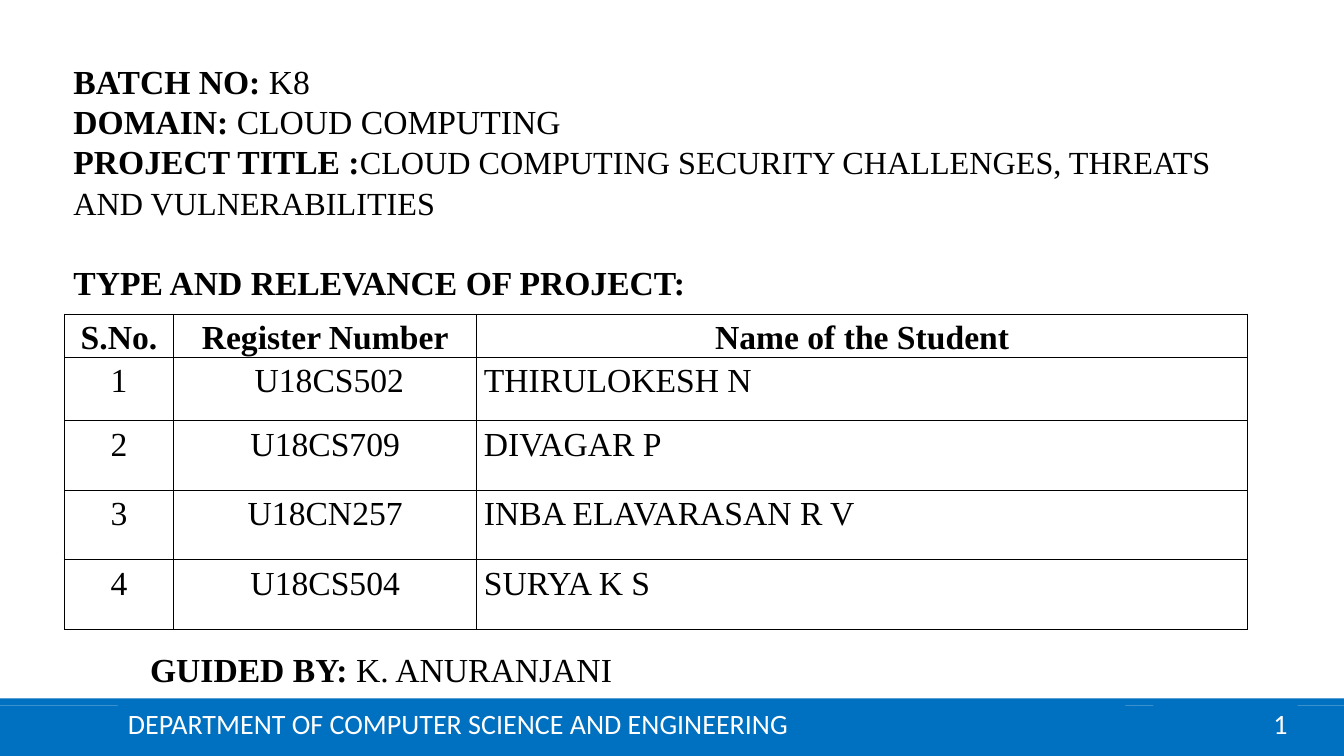
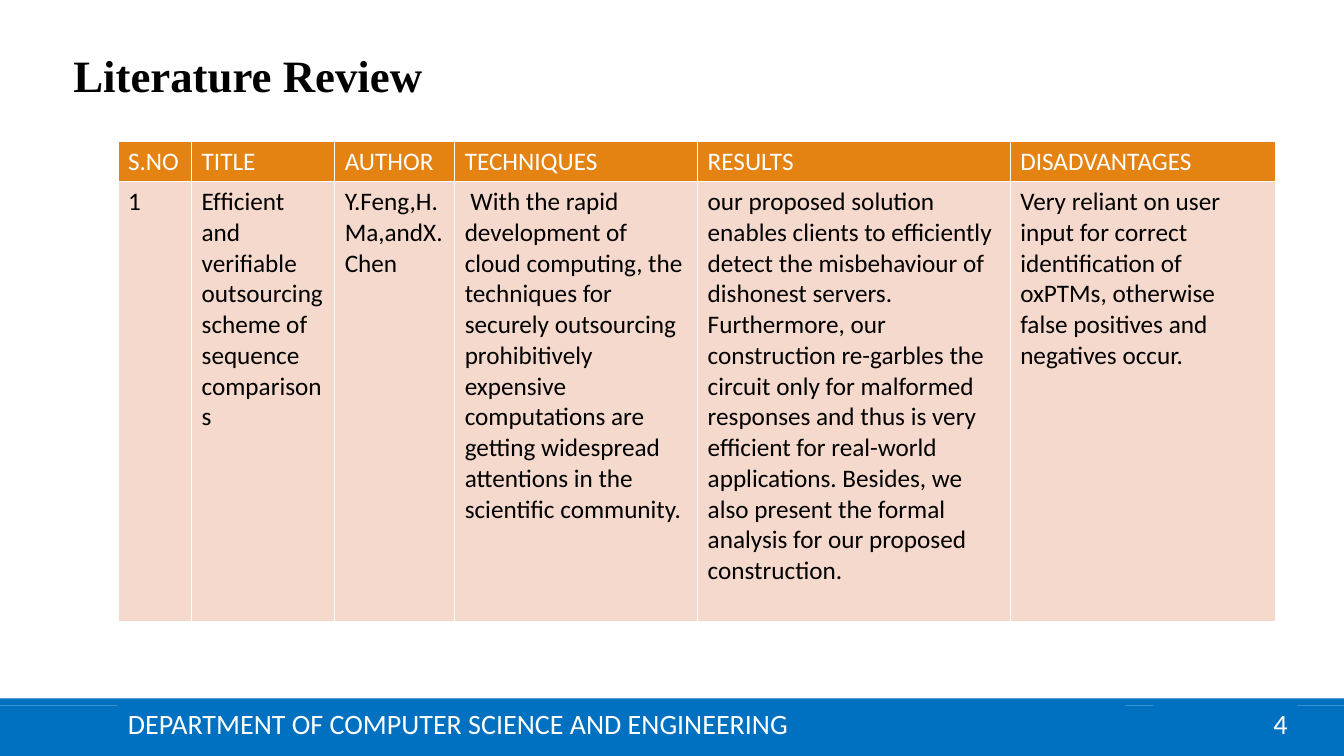
from dataclasses import dataclass

from lxml import etree
from pptx import Presentation
from pptx import util as u
from pptx.dml.color import RGBColor
from pptx.enum import shapes, text
from pptx.oxml import ns


@dataclass(frozen=True)
class Theme:
    """Colours, fonts and type sizes shared by the slides."""
    blue: str = "0070C0"
    orange: str = "E48312"
    peach: str = "F5D9CC"
    black: str = "000000"
    white: str = "FFFFFF"
    sans: str = "Calibri"
    serif: str = "Times New Roman"
    title: float = 32
    body: float = 24
    project: float = 23
    footer: float = 20
    cell: float = 18
    leading: float = 28.8


T = Theme()
LEFT = text.PP_ALIGN.LEFT
CENTER = text.PP_ALIGN.CENTER
RIGHT = text.PP_ALIGN.RIGHT
FOOTER = "DEPARTMENT OF COMPUTER SCIENCE AND ENGINEERING"

DETAILS = [
    [("BATCH NO: ", True, T.body), ("K8", False, T.body)],
    [("DOMAIN: ", True, T.body), ("CLOUD COMPUTING", False, T.body)],
    [("PROJECT TITLE :", True, T.body),
     ("CLOUD COMPUTING SECURITY CHALLENGES, THREATS AND VULNERABILITIES", False, T.project)],
    [("TYPE AND RELEVANCE OF PROJECT:", True, T.body)],
]
GUIDE = [[("GUIDED BY: ", True, T.body), ("K. ANURANJANI", False, T.body)]]
STUDENTS = [
    ("S.No.", "Register Number", "Name of the Student"),
    ("1", " U18CS502", "THIRULOKESH N"),
    ("2", "U18CS709", "DIVAGAR P"),
    ("3", "U18CN257", "INBA ELAVARASAN R V"),
    ("4", "U18CS504", "SURYA K S"),
]
REVIEW = [
    ("S.NO", "TITLE", "AUTHOR", "TECHNIQUES", "RESULTS", "DISADVANTAGES"),
    ("1",
     "Efﬁcient and veriﬁable outsourcing scheme of sequence comparisons",
     "Y.Feng,H.Ma,andX.Chen",
     " With the rapid development of cloud computing, the techniques for securely "
     "outsourcing prohibitively expensive computations are getting widespread attentions "
     "in the scientific community.",
     "our proposed solution enables clients to efficiently detect the misbehaviour of "
     "dishonest servers. Furthermore, our construction re-garbles the circuit only for "
     "malformed responses and thus is very efficient for real-world applications. Besides, "
     "we also present the formal analysis for our proposed construction.",
     "Very reliant on user input for correct identification of oxPTMs, otherwise false "
     "positives and negatives occur."),
]


def style_run(r, font, size, color, bold=False):
    """Set the font of one run."""
    r.font.name, r.font.size, r.font.bold = font, u.Pt(size), bold
    r.font.color.rgb = RGBColor.from_string(color)


def add_band(s, left, top, width, height, label="", align=LEFT):
    """Add a blue footer rectangle, with an optional label."""
    sp = s.shapes.add_shape(shapes.MSO_SHAPE.RECTANGLE, *map(u.Inches, (left, top, width, height)))
    sp.shadow.inherit = False
    sp.fill.solid()
    sp.fill.fore_color.rgb = RGBColor.from_string(T.blue)
    sp.line.fill.background()
    if label:
        tf = sp.text_frame
        tf.text = label
        tf.vertical_anchor = text.MSO_ANCHOR.MIDDLE
        p = tf.paragraphs[0]
        p.alignment = align
        style_run(p.runs[0], T.sans, T.footer, T.white)


def add_footer(s, number):
    """Add the department band and the slide number."""
    add_band(s, 0, 7, 13.33, 0.5)
    add_band(s, 0, 6.93, 13.33, 0.07)
    add_band(s, 11.44, 6.98, 1.43, 0.4, str(number), RIGHT)
    add_band(s, 1.17, 6.98, 9.99, 0.39, FOOTER)


def add_text(s, left, top, width, height, paragraphs, leading=None):
    """Add a serif text box from lists of (text, bold, size) runs."""
    tf = s.shapes.add_textbox(*map(u.Inches, (left, top, width, height))).text_frame
    tf.word_wrap = True
    for i, parts in enumerate(paragraphs):
        p = tf.add_paragraph() if i else tf.paragraphs[0]
        if leading:
            p.line_spacing = u.Pt(leading)
        for words, bold, size in parts:
            r = p.add_run()
            r.text = words
            style_run(r, T.serif, size, T.black, bold)
    return tf


def set_borders(cell, color, width=1):
    """Draw all four borders of a table cell."""
    tc_pr = cell._tc.get_or_add_tcPr()
    for i, side in enumerate(("lnL", "lnR", "lnT", "lnB")):
        ln = etree.Element(ns.qn(f"a:{side}"), w=str(u.Pt(width)))
        fill = etree.SubElement(ln, ns.qn("a:solidFill"))
        etree.SubElement(fill, ns.qn("a:srgbClr"), val=color)
        tc_pr.insert(i, ln)


def add_table(s, left, top, widths, heights, rows, style_cell):
    """Add a table and style each cell by its row and column."""
    size = (left, top, sum(widths), sum(heights))
    table = s.shapes.add_table(len(rows), len(widths), *map(u.Inches, size)).table
    table.first_row = table.horz_banding = False
    for column, width in zip(table.columns, widths):
        column.width = u.Inches(width)
    for i, (row, height) in enumerate(zip(rows, heights)):
        table.rows[i].height = u.Inches(height)
        for j, words in enumerate(row):
            cell = table.cell(i, j)
            cell.text_frame.text = words
            style_cell(cell, i, j)


def style_student(cell, row, col):
    """Style a cell of the student table."""
    cell.margin_left = cell.margin_right = u.Inches(0.07)
    cell.margin_top = cell.margin_bottom = 0
    cell.fill.background()
    set_borders(cell, T.black)
    p = cell.text_frame.paragraphs[0]
    p.alignment = LEFT if row and col == 2 else CENTER
    p.line_spacing = 1.15
    style_run(p.runs[0], T.serif, T.body, T.black, row == 0)


def style_review(cell, row, col):
    """Style a cell of the literature table."""
    cell.fill.solid()
    cell.fill.fore_color.rgb = RGBColor.from_string(T.peach if row else T.orange)
    set_borders(cell, T.white)
    r = cell.text_frame.paragraphs[0].runs[0]
    style_run(r, T.sans, T.cell, T.black if row else T.white)


def add_slide(prs, number):
    """Add a blank slide with the shared footer."""
    s = prs.slides.add_slide(prs.slide_layouts[6])
    add_footer(s, number)
    return s


def build_project(prs):
    """Build the project details slide."""
    s = add_slide(prs, 1)
    add_table(s, 0.64, 3.12, [1.08, 3.01, 7.64], [0.41, 0.63] + [0.69] * 3,
              STUDENTS, style_student)
    add_text(s, 1.39, 6.39, 4.92, 0.5, GUIDE)
    tf = add_text(s, 0.63, 0.55, 11.72, 2.51, DETAILS, T.leading)
    tf.paragraphs[-1].space_before = u.Pt(T.leading)


def build_review(prs):
    """Build the literature review slide."""
    s = add_slide(prs, 4)
    add_table(s, 1.17, 1.4, [0.73, 1.42, 1.19, 2.41, 3.1, 2.63], [0.4, 4.37],
              REVIEW, style_review)
    add_text(s, 0.63, 0.42, 7.8, 0.64, [[("Literature Review", True, T.title)]])


def main():
    """Build and save the presentation."""
    prs = Presentation()
    prs.slide_width, prs.slide_height = u.Inches(13.33), u.Inches(7.5)
    build_project(prs)
    build_review(prs)
    prs.save("out.pptx")


if __name__ == "__main__":
    main()
